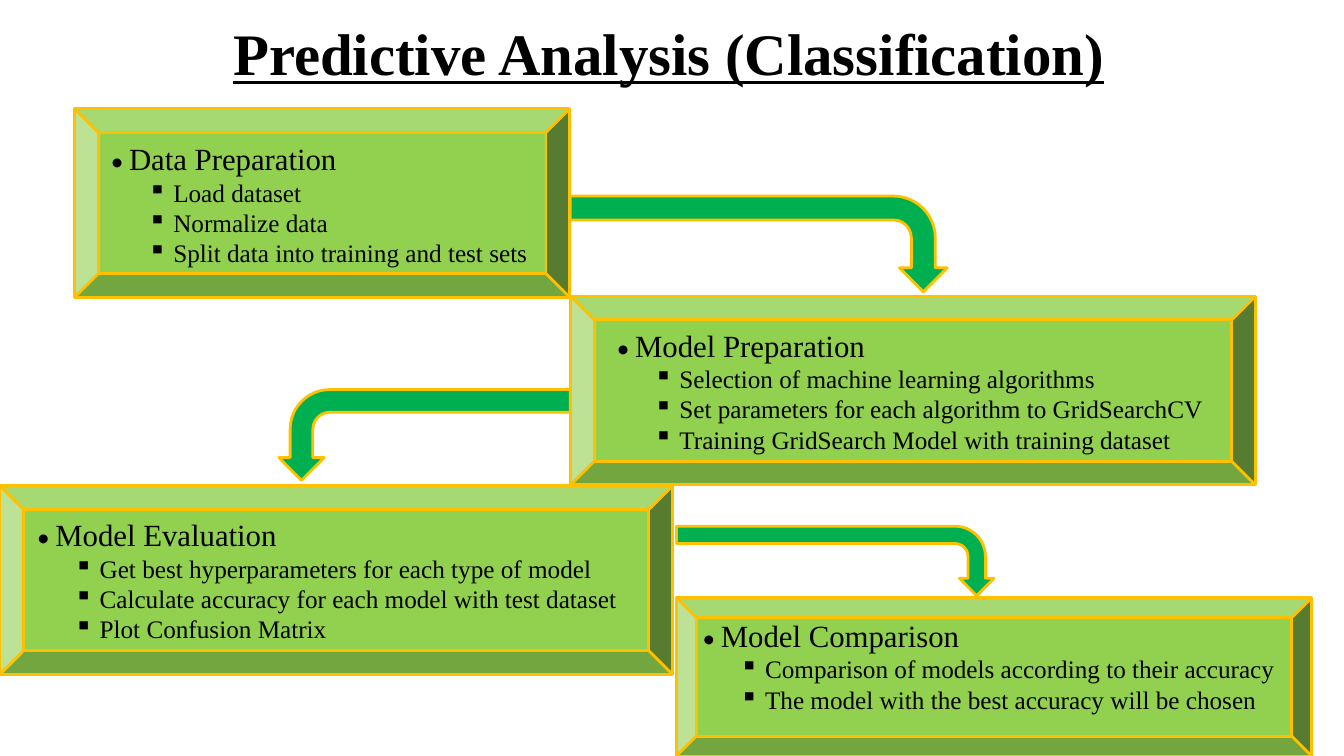
from lxml.etree import SubElement
from pptx import Presentation
from pptx.dml.color import RGBColor
from pptx.enum.shapes import MSO_SHAPE
from pptx.enum.text import MSO_ANCHOR, MSO_AUTO_SIZE, PP_ALIGN
from pptx.oxml.ns import qn
from pptx.util import Pt

PX = 9144  # 100 px to the inch
BLACK = RGBColor(0x00, 0x00, 0x00)
LIME = RGBColor(0x92, 0xD0, 0x50)
GREEN = RGBColor(0x00, 0xB0, 0x50)
GOLD = RGBColor(0xFF, 0xC0, 0x00)
SERIF = "Times New Roman"

# Bevel box, text box, heading, steps
STAGES = [
    ((74, 108, 491, 187), (100, 134, 439, 136), "Data Preparation",
     ["Load dataset", "Normalize data", "Split data into training and test sets"]),
    ((566, 294, 679, 187), (602, 319, 618, 136), "Model Preparation",
     ["Selection of machine learning algorithms",
      "Set parameters for each algorithm to GridSearchCV",
      "Training GridSearch Model with training dataset"]),
    ((0, 482, 667, 187), (27, 507, 597, 136), "Model Evaluation",
     ["Get best hyperparameters for each type of model",
      "Calculate accuracy for each model with test dataset",
      "Plot Confusion Matrix"]),
    ((671, 593, 630, 157), (687, 607, 593, 106), "Model Comparison",
     ["Comparison of models according to their accuracy",
      "The model with the best accuracy will be chosen"]),
]

# Box before rotation, rotation, mirrored
ARROWS = [
    ((705, 55, 95, 374), 90, False),
    ((376, 287, 90, 289), 270, True),
    ((794, 399, 69, 315), 90, False),
]


def scaled(box):
    return [value * PX for value in box]


def style_font(font, size, name=SERIF):
    font.size = Pt(size)
    font.name = name
    font.color.rgb = BLACK


def add_title(slide, text):
    title = slide.shapes.title
    title.left, title.top, title.width, title.height = scaled((0, 1, 1327, 92))
    frame = title.text_frame
    frame.text = text
    frame.word_wrap = True
    frame.vertical_anchor = MSO_ANCHOR.BOTTOM
    paragraph = frame.paragraphs[0]
    paragraph.alignment = PP_ALIGN.CENTER
    paragraph.line_spacing = 0.9
    style_font(paragraph.font, 42)
    paragraph.font.bold = True
    paragraph.font.underline = True


def add_outlined_shape(slide, kind, box, fill):
    shape = slide.shapes.add_shape(kind, *scaled(box))
    shape.shadow.inherit = False
    shape.fill.solid()
    shape.fill.fore_color.rgb = fill
    shape.line.color.rgb = GOLD
    shape.line.width = Pt(2)
    return shape


def add_step(frame, text):
    paragraph = frame.add_paragraph()
    paragraph.text = text
    properties = paragraph._p.get_or_add_pPr()
    properties.set("marL", str(62 * PX))
    properties.set("indent", str(-25 * PX))
    colour = SubElement(properties, qn("a:buClr"))
    SubElement(colour, qn("a:srgbClr")).set("val", str(BLACK))
    SubElement(properties, qn("a:buChar")).set("char", "▪")
    style_font(paragraph.font, 18)


def add_stage(slide, bevel_box, text_box, heading, steps):
    add_outlined_shape(slide, MSO_SHAPE.BEVEL, bevel_box, LIME)
    frame = slide.shapes.add_textbox(*scaled(text_box)).text_frame
    frame.word_wrap = True
    frame.auto_size = MSO_AUTO_SIZE.SHAPE_TO_FIT_TEXT
    paragraph = frame.paragraphs[0]
    for text, size, name in (("• ", 18, "Calibri"), (heading, 22, SERIF)):
        run = paragraph.add_run()
        run.text = text
        style_font(run.font, size, name)
    for step in steps:
        add_step(frame, step)


def add_bent_arrow(slide, box, rotation, mirrored):
    arrow = add_outlined_shape(slide, MSO_SHAPE.BENT_ARROW, box, GREEN)
    arrow.rotation = rotation
    if mirrored:
        arrow._element.spPr.find(qn("a:xfrm")).set("flipH", "1")


def main():
    presentation = Presentation()
    presentation.slide_width, presentation.slide_height = scaled((1333, 750))
    slide = presentation.slides.add_slide(presentation.slide_layouts[5])
    add_title(slide, "Predictive Analysis (Classification)")
    for stage in STAGES:
        add_stage(slide, *stage)
    for arrow in ARROWS:
        add_bent_arrow(slide, *arrow)
    presentation.save("out.pptx")


if __name__ == "__main__":
    main()
